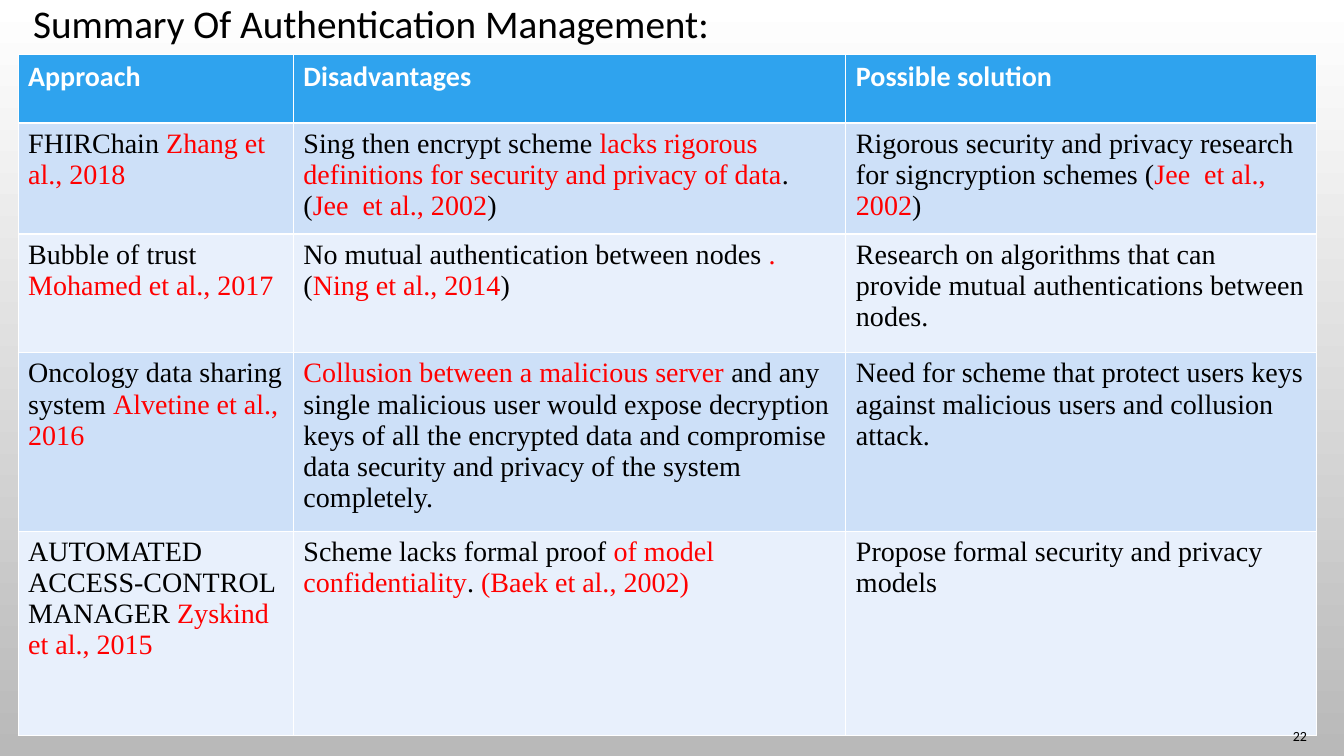
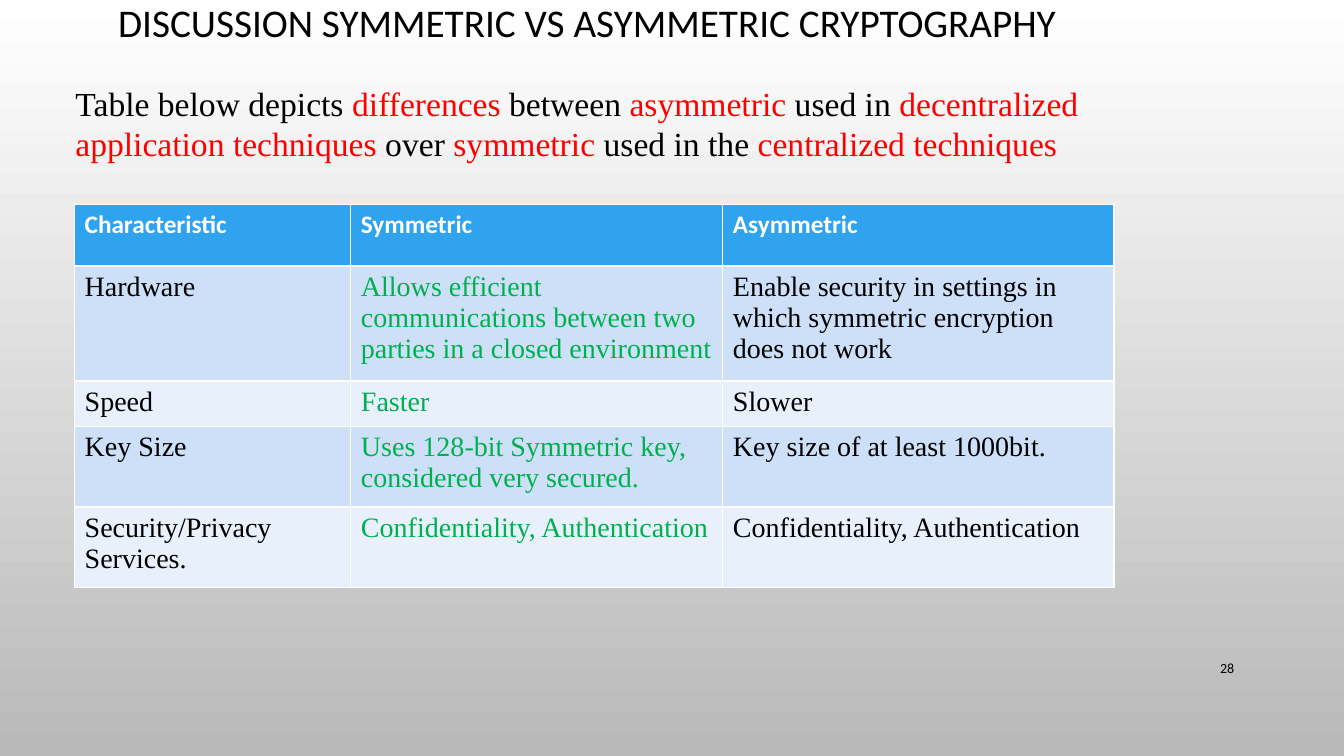
from pptx import Presentation
from pptx.dml.color import RGBColor
from pptx.enum.text import MSO_ANCHOR, PP_ALIGN
from pptx.util import Inches, Pt

LEFT, CENTER, RIGHT = PP_ALIGN.LEFT, PP_ALIGN.CENTER, PP_ALIGN.RIGHT
TOP, MIDDLE = MSO_ANCHOR.TOP, MSO_ANCHOR.MIDDLE

SANS, SERIF = "Calibri", "Times New Roman"
BLACK, WHITE, RED, GREEN = "000000", "FFFFFF", "FF0000", "00B050"
HEADER_FILL = "2FA3EE"
BAND_FILLS = ("CDE0F8", "E8F0FC")
BACKGROUND = (WHITE, "B9B9B9")

APPROACHES = [
    ["Approach", "Disadvantages", "Possible solution"],
    ["FHIRChain |Zhang et al., 2018",
     "Sing then encrypt scheme |lacks rigorous definitions for security and "
     "privacy of data|. (|Jee  et al., 2002|)",
     "Rigorous security and privacy research for signcryption schemes "
     "(|Jee  et al., 2002|)"],
    ["Bubble of trust |Mohamed et al., 2017",
     "No mutual authentication between nodes |.|(|Ning et al., 2014|)",
     "Research on algorithms that can provide mutual authentications between nodes."],
    ["Oncology data sharing system |Alvetine et al., 2016",
     "|Collusion between a malicious server| and any single malicious user would "
     "expose decryption keys of all the encrypted data and compromise data "
     "security and privacy of the system completely.",
     "Need for scheme that protect users keys against malicious users and "
     "collusion attack."],
    ["AUTOMATED ACCESS-CONTROL MANAGER |Zyskind et al., 2015",
     "Scheme lacks formal proof |of model confidentiality|. |(Baek et al., 2002)",
     "Propose formal security and privacy models"],
]

CRYPTOGRAPHY = [
    ["Characteristic", "Symmetric", "Asymmetric"],
    ["Hardware",
     "Allows efficient communications between two parties in a closed environment",
     "Enable security in settings in which symmetric encryption does not work"],
    ["Speed", "Faster", "Slower"],
    ["Key Size", "Uses 128-bit Symmetric key, considered very secured.",
     "Key size of at least 1000bit."],
    ["Security/Privacy Services.", "Confidentiality, Authentication",
     "Confidentiality, Authentication"],
]

INTRO = ("Table below depicts |differences| between |asymmetric| used in "
         "|decentralized application techniques| over |symmetric| used in the "
         "|centralized techniques")


def rgb(value):
    return RGBColor.from_string(value)


def write(p, text, size, font, color=BLACK, bold=False):
    """Text between bars is set in red."""
    for i, part in enumerate(text.split("|")):
        if part:
            r = p.add_run()
            r.text = part
            r.font.size = Pt(size)
            r.font.name = font
            r.font.bold = bold
            r.font.color.rgb = rgb(RED if i % 2 else color)


def add_text(s, box, text, size, font=SANS, align=LEFT, anchor=TOP):
    tf = s.shapes.add_textbox(*map(Inches, box)).text_frame
    tf.word_wrap = True
    tf.vertical_anchor = anchor
    p = tf.paragraphs[0]
    p.alignment = align
    write(p, text, size, font)
    return p


def add_title(s, box, text, align=LEFT, anchor=TOP):
    return add_text(s, box, text, 28, align=align, anchor=anchor)


def add_number(s, left, top, number):
    add_text(s, (left, top, 0.84, 0.4), number, 10, align=RIGHT, anchor=MIDDLE)


def add_grid(s, left, top, widths, heights, rows, header_size,
             colors=(BLACK, BLACK, BLACK)):
    box = (left, top, sum(widths), sum(heights))
    table = s.shapes.add_table(len(rows), len(widths), *map(Inches, box)).table
    for column, width in zip(table.columns, widths):
        column.width = Inches(width)
    for i, (row, height) in enumerate(zip(rows, heights)):
        table.rows[i].height = Inches(height)
        for j, text in enumerate(row):
            cell = table.cell(i, j)
            cell.fill.solid()
            p = cell.text_frame.paragraphs[0]
            if i == 0:
                cell.fill.fore_color.rgb = rgb(HEADER_FILL)
                write(p, text, header_size, SANS, WHITE, True)
            else:
                cell.fill.fore_color.rgb = rgb(BAND_FILLS[(i - 1) % 2])
                write(p, text, 20, SERIF, colors[j])


def set_background(prs):
    fill = prs.slide_master.background.fill
    fill.gradient()
    fill.gradient_angle = 270
    for stop, color, position in zip(fill.gradient_stops, BACKGROUND, (0, 1)):
        stop.color.rgb = rgb(color)
        stop.position = position


def authentication_slide(s):
    add_title(s, (0.23, -0.06, 7.05, 0.57), "Summary Of Authentication Management:")
    add_grid(s, 0.18, 0.54, (2.73, 5.48, 4.67), (0.68, 1.1, 1.18, 1.77, 2.03),
             APPROACHES, 20)
    add_number(s, 12.22, 7.1, "22")


def cryptography_slide(s):
    p = add_title(s, (-0.36, -0.04, 12.45, 0.58),
                  "DISCUSSION SYMMETRIC VS ASYMMETRIC CRYPTOGRAPHY ", CENTER, MIDDLE)
    p.line_spacing = 0.9
    add_number(s, 11.5, 6.43, "28")
    add_grid(s, 0.74, 2.03, (2.74, 3.69, 3.88), (0.61, 1.14, 0.45, 0.8, 0.8),
             CRYPTOGRAPHY, 18, (BLACK, GREEN, BLACK))
    add_text(s, (0.65, 0.77, 10.3, 0.91), INTRO, 24, SERIF)


def main():
    prs = Presentation()
    prs.slide_width = Inches(13.33)
    prs.slide_height = Inches(7.5)
    set_background(prs)
    for build in (authentication_slide, cryptography_slide):
        build(prs.slides.add_slide(prs.slide_layouts[6]))
    prs.save("out.pptx")


if __name__ == "__main__":
    main()
